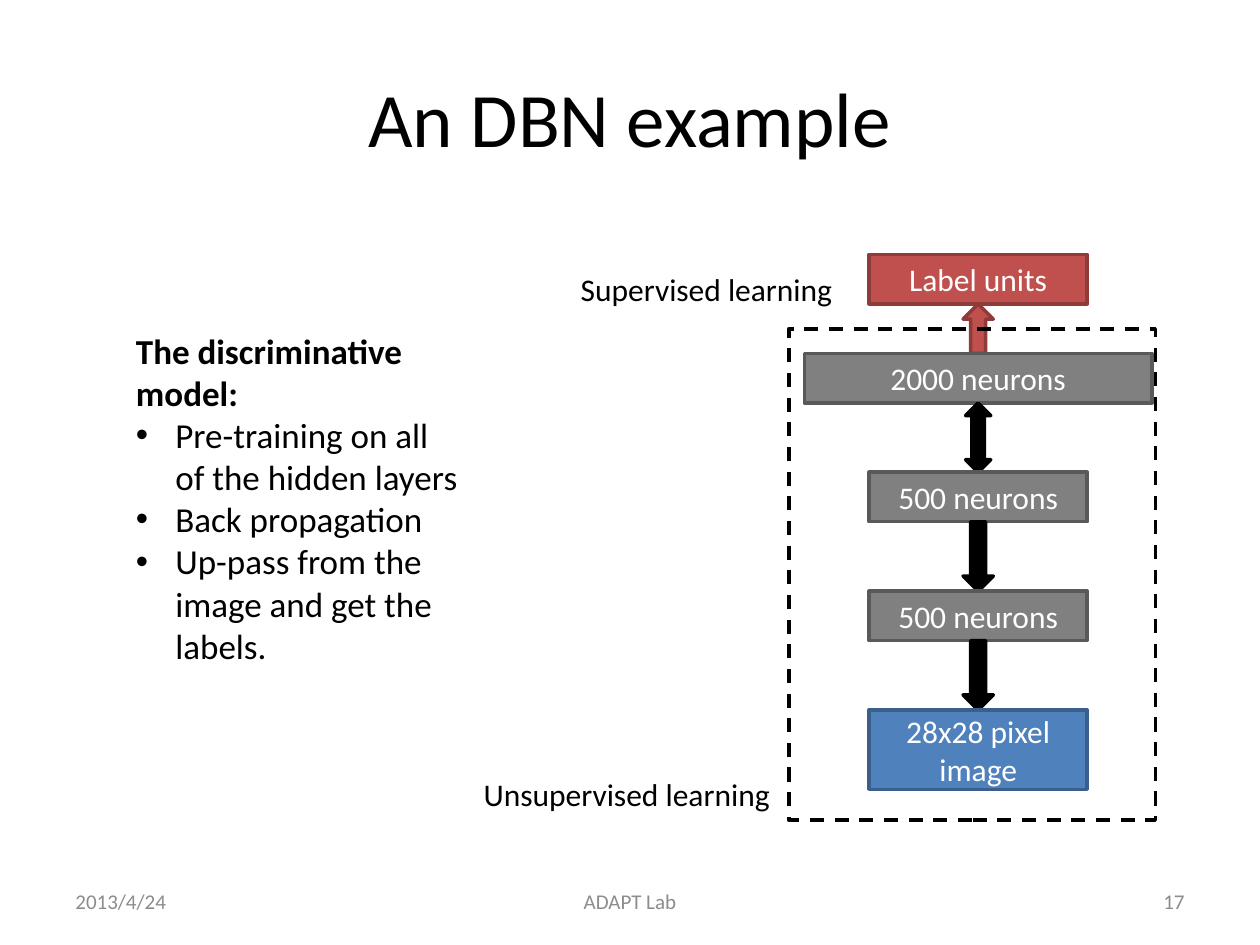
from dataclasses import dataclass

from lxml import etree
from pptx import Presentation
from pptx.dml.color import RGBColor
from pptx.enum.dml import MSO_LINE
from pptx.enum.shapes import MSO_SHAPE
from pptx.enum.text import MSO_ANCHOR, MSO_AUTO_SIZE, PP_ALIGN
from pptx.oxml.ns import qn
from pptx.util import Pt

RECTANGLE = MSO_SHAPE.RECTANGLE
UP, DOWN, UP_DOWN = MSO_SHAPE.UP_ARROW, MSO_SHAPE.DOWN_ARROW, MSO_SHAPE.UP_DOWN_ARROW
LEFT, CENTER, RIGHT = PP_ALIGN.LEFT, PP_ALIGN.CENTER, PP_ALIGN.RIGHT
MIDDLE, TOP = MSO_ANCHOR.MIDDLE, MSO_ANCHOR.TOP


@dataclass(frozen=True)
class Theme:
    font: str = "Calibri"
    title_size: int = 44
    body_size: int = 20
    label_size: int = 18
    footer_size: int = 12
    black: str = "000000"
    white: str = "FFFFFF"
    footer: str = "8C8C8C"
    # Fill and line of each kind of block
    hidden: tuple = ("808080", "595959")
    image: tuple = ("4F81BD", "3A5F8C")
    label: tuple = ("C0504D", "8E3B39")
    arrow: tuple = ("000000", "000000")


theme = Theme()


def add_run(paragraph, text, size, color, bold=False):
    run = paragraph.add_run()
    run.text = text
    run.font.name = theme.font
    run.font.size = Pt(size)
    run.font.bold = bold
    run.font.color.rgb = RGBColor.from_string(color)


def add_block(kind, left, top, width, height, colors):
    """Add a preset shape; colors is (fill or None, line)."""
    fill, line = colors
    shape = slide.shapes.add_shape(kind, Pt(left), Pt(top), Pt(width), Pt(height))
    shape.shadow.inherit = False
    if fill:
        shape.fill.solid()
        shape.fill.fore_color.rgb = RGBColor.from_string(fill)
    else:
        shape.fill.background()
    shape.line.color.rgb = RGBColor.from_string(line)
    shape.line.width = Pt(2)
    return shape


presentation = Presentation()
presentation.slide_width, presentation.slide_height = Pt(720), Pt(540)
slide = presentation.slides.add_slide(presentation.slide_layouts[5])

# Title
title = slide.shapes.title
title.left, title.top, title.width, title.height = Pt(36), Pt(21.6), Pt(648), Pt(90)
title.text_frame.vertical_anchor = MIDDLE
title_paragraph = title.text_frame.paragraphs[0]
title_paragraph.alignment = CENTER
add_run(title_paragraph, "An DBN example", theme.title_size, theme.black)

# Network, stacked from the labels down to the image
center = 559
layer_height = 28.3
link_height = 39.6
stack = [
    (RECTANGLE, 124.6, layer_height, theme.label, "Label units"),
    (UP, 17.3, layer_height, theme.label, None),
    (RECTANGLE, 198.7, layer_height, theme.hidden, "2000 neurons"),
    (UP_DOWN, 14.4, link_height, theme.arrow, None),
    (RECTANGLE, 124.6, layer_height, theme.hidden, "500 neurons"),
    (DOWN, 17.3, link_height, theme.arrow, None),
    (RECTANGLE, 124.6, layer_height, theme.hidden, "500 neurons"),
    (DOWN, 17.3, link_height, theme.arrow, None),
    (RECTANGLE, 124.6, 45.4, theme.image, "28x28 pixel image"),
]
top = 145.4
for kind, width, height, colors, text in stack:
    block = add_block(kind, center - width / 2, top, width, height, colors)
    if text:
        block.text_frame.word_wrap = True
        block.text_frame.vertical_anchor = MIDDLE
        paragraph = block.text_frame.paragraphs[0]
        paragraph.alignment = CENTER
        add_run(paragraph, text, theme.label_size, theme.white)
    top += height

unsupervised_frame = add_block(RECTANGLE, 450.7, 187.9, 209.5, 280.8, (None, theme.black))
unsupervised_frame.line.dash_style = MSO_LINE.DASH

# Learning labels and footer
captions = [
    ("Supervised learning", 324.7, 150.5, 159.8, 29, theme.label_size, theme.black, LEFT, TOP, False),
    ("Unsupervised learning", 269.3, 439.2, 180, 29, theme.label_size, theme.black, LEFT, TOP, False),
    ("2013/4/24", 36, 500.5, 168, 28.75, theme.footer_size, theme.footer, LEFT, MIDDLE, True),
    ("ADAPT Lab", 246, 500.5, 228, 28.75, theme.footer_size, theme.footer, CENTER, MIDDLE, True),
    ("17", 516, 500.5, 168, 28.75, theme.footer_size, theme.footer, RIGHT, MIDDLE, True),
]
for text, left, top, width, height, size, color, alignment, anchor, wrap in captions:
    caption = slide.shapes.add_textbox(Pt(left), Pt(top), Pt(width), Pt(height))
    caption.text_frame.word_wrap = wrap
    caption.text_frame.vertical_anchor = anchor
    paragraph = caption.text_frame.paragraphs[0]
    paragraph.alignment = alignment
    add_run(paragraph, text, size, color)

# Description of the model
description = slide.shapes.add_textbox(Pt(70.6), Pt(185), Pt(198.7), Pt(225.4))
description.text_frame.word_wrap = True
description.text_frame.auto_size = MSO_AUTO_SIZE.SHAPE_TO_FIT_TEXT
heading = description.text_frame.paragraphs[0]
add_run(heading, "The discriminative model:", theme.body_size, theme.black, bold=True)
for text in (
    "Pre-training on all of the hidden layers",
    "Back propagation",
    "Up-pass from the image and get the labels.",
):
    paragraph = description.text_frame.add_paragraph()
    properties = paragraph._p.get_or_add_pPr()
    properties.set("marL", str(Pt(22.5)))
    properties.set("indent", str(Pt(-22.5)))
    etree.SubElement(properties, qn("a:buFont")).set("typeface", "Arial")
    etree.SubElement(properties, qn("a:buChar")).set("char", "•")
    add_run(paragraph, text, theme.body_size, theme.black)

presentation.save("out.pptx")
